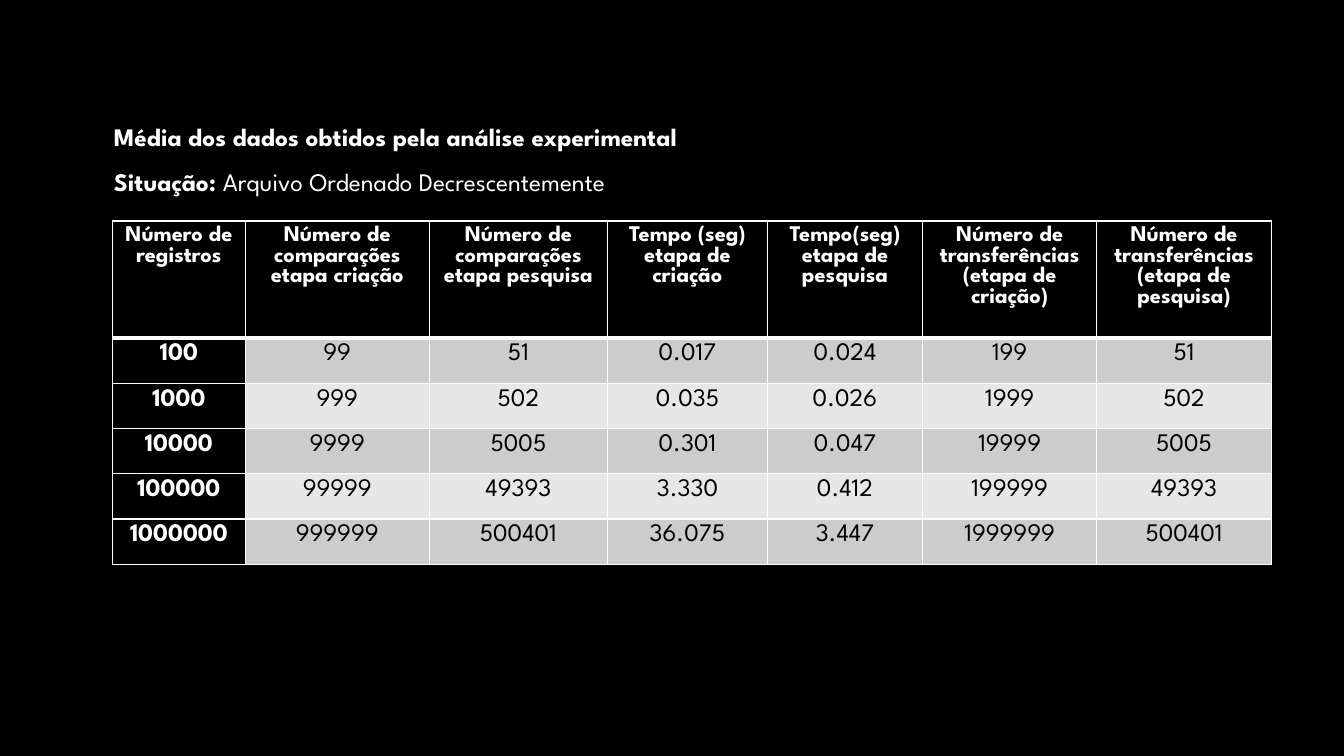
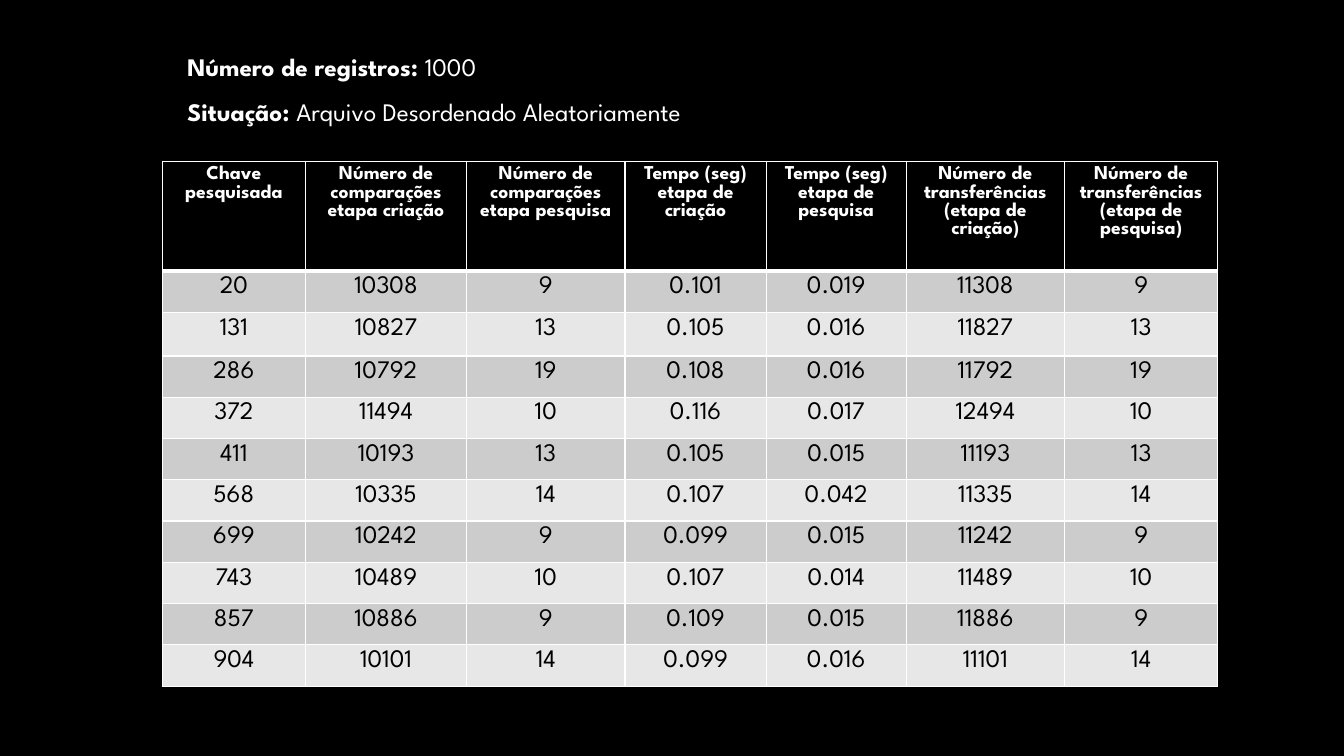
from dataclasses import dataclass

from lxml.etree import SubElement
from pptx import Presentation
from pptx.dml.color import RGBColor
from pptx.enum.text import MSO_AUTO_SIZE as AutoSize, PP_ALIGN as Align
from pptx.oxml.ns import qn
from pptx.slide import Slide
from pptx.table import _Cell as Cell
from pptx.text.text import _Paragraph as Paragraph
from pptx.util import Cm, Pt

FONT = "League Spartan"
BLACK, WHITE = "000000", "FFFFFF"
BANDS = ("CCCCCC", "E7E7E7")
THIN, THICK = 1, 3
BODY_SIZE = 18


@dataclass(frozen=True)
class CaptionLine:
    label: str
    detail: str = ""


@dataclass(frozen=True)
class ResultsPage:
    caption: tuple[CaptionLine, ...]
    caption_box: tuple[float, float, float, float]  # left, top, width, height in cm
    table_corner: tuple[float, float]
    widths: tuple[float, ...]
    heights: tuple[float, ...]
    headings: tuple[str, ...]
    heading_size: int
    records: tuple[str, ...]
    dark_key_column: bool = False


def headings(key: str, search_time: str) -> tuple[str, ...]:
    return (
        key,
        "Número de comparações etapa criação",
        "Número de comparações etapa pesquisa",
        "Tempo (seg) etapa de criação",
        f"{search_time} etapa de pesquisa",
        "Número de transferências (etapa de criação)",
        "Número de transferências (etapa de pesquisa)",
    )


PAGES = (
    ResultsPage(
        caption=(
            CaptionLine("Média dos dados obtidos pela análise experimental"),
            CaptionLine("Situação: ", "Arquivo Ordenado Decrescentemente"),
        ),
        caption_box=(2.62, 2.54, 16.71, 2.57),
        table_corner=(2.84, 5.57),
        widths=(3.34, 4.64, 4.49, 4.03, 3.91, 4.39, 4.4),
        heights=(2.95,) + (1.14,) * 5,
        headings=headings("Número de registros", "Tempo(seg)"),
        heading_size=16,
        records=(
            "100 99 51 0.017 0.024 199 51",
            "1000 999 502 0.035 0.026 1999 502",
            "10000 9999 5005 0.301 0.047 19999 5005",
            "100000 99999 49393 3.330 0.412 199999 49393",
            "1000000 999999 500401 36.075 3.447 1999999 500401",
        ),
        dark_key_column=True,
    ),
    ResultsPage(
        caption=(
            CaptionLine("Número de registros: ", "1000"),
            CaptionLine("Situação: ", "Arquivo Desordenado Aleatoriamente"),
        ),
        caption_box=(4.47, 0.79, 15.57, 2.57),
        table_corner=(4.09, 4.06),
        widths=(3.61, 4.06, 3.99, 3.56, 3.53, 3.99, 3.86),
        heights=(2.77, 1.04, 1.1) + (1.04,) * 8,
        headings=headings("Chave pesquisada", "Tempo (seg)"),
        heading_size=14,
        records=(
            "20 10308 9 0.101 0.019 11308 9",
            "131 10827 13 0.105 0.016 11827 13",
            "286 10792 19 0.108 0.016 11792 19",
            "372 11494 10 0.116 0.017 12494 10",
            "411 10193 13 0.105 0.015 11193 13",
            "568 10335 14 0.107 0.042 11335 14",
            "699 10242 9 0.099 0.015 11242 9",
            "743 10489 10 0.107 0.014 11489 10",
            "857 10886 9 0.109 0.015 11886 9",
            "904 10101 14 0.099 0.016 11101 14",
        ),
    ),
)


def rgb(color: str) -> RGBColor:
    return RGBColor.from_string(color)


def add_text(paragraph: Paragraph, text: str, *, size: int = BODY_SIZE,
             color: str = WHITE, bold: bool = False) -> None:
    run = paragraph.add_run()
    run.text = text
    run.font.name = FONT
    run.font.size = Pt(size)
    run.font.bold = bold
    run.font.color.rgb = rgb(color)


def set_borders(cell: Cell, *, top: int, bottom: int) -> None:
    properties = cell._tc.get_or_add_tcPr()
    for side, weight in (("L", THIN), ("R", THIN), ("T", top), ("B", bottom)):
        line = SubElement(properties, qn(f"a:ln{side}"), w=str(Pt(weight)))
        SubElement(SubElement(line, qn("a:solidFill")), qn("a:srgbClr"), val=WHITE)


def add_caption(slide: Slide, page: ResultsPage) -> None:
    frame = slide.shapes.add_textbox(*map(Cm, page.caption_box)).text_frame
    frame.word_wrap = False
    frame.auto_size = AutoSize.SHAPE_TO_FIT_TEXT
    for index, line in enumerate(page.caption):
        paragraph = frame.add_paragraph() if index else frame.paragraphs[0]
        paragraph.line_spacing = 1.5
        add_text(paragraph, line.label, bold=True)
        if line.detail:
            add_text(paragraph, line.detail)


def add_results(slide: Slide, page: ResultsPage) -> None:
    rows = [page.headings, *(record.split() for record in page.records)]
    table = slide.shapes.add_table(
        len(rows), len(page.widths), *map(Cm, page.table_corner),
        Cm(sum(page.widths)), Cm(sum(page.heights))).table
    for column, width in zip(table.columns, page.widths):
        column.width = Cm(width)
    for row, height in zip(table.rows, page.heights):
        row.height = Cm(height)

    for r, values in enumerate(rows):
        for c, value in enumerate(values):
            cell = table.cell(r, c)
            heading = r == 0
            dark = heading or (page.dark_key_column and c == 0)
            # Borders precede the fill in the cell properties
            set_borders(cell, top=THICK if r == 1 else THIN,
                        bottom=THICK if heading else THIN)
            cell.fill.solid()
            cell.fill.fore_color.rgb = rgb(BLACK if dark else BANDS[(r - 1) % 2])
            paragraph = cell.text_frame.paragraphs[0]
            paragraph.alignment = Align.CENTER
            add_text(paragraph, value, bold=dark, color=WHITE if dark else BLACK,
                     size=page.heading_size if heading else BODY_SIZE)


def main() -> None:
    deck = Presentation()
    deck.slide_width, deck.slide_height = Cm(33.87), Cm(19.05)
    blank = deck.slide_layouts[6]

    # Black background shared by every slide
    background = deck.slide_master.background.fill
    background.solid()
    background.fore_color.rgb = rgb(BLACK)

    for page in PAGES:
        slide = deck.slides.add_slide(blank)
        add_results(slide, page)
        add_caption(slide, page)
    deck.save("out.pptx")


if __name__ == "__main__":
    main()
